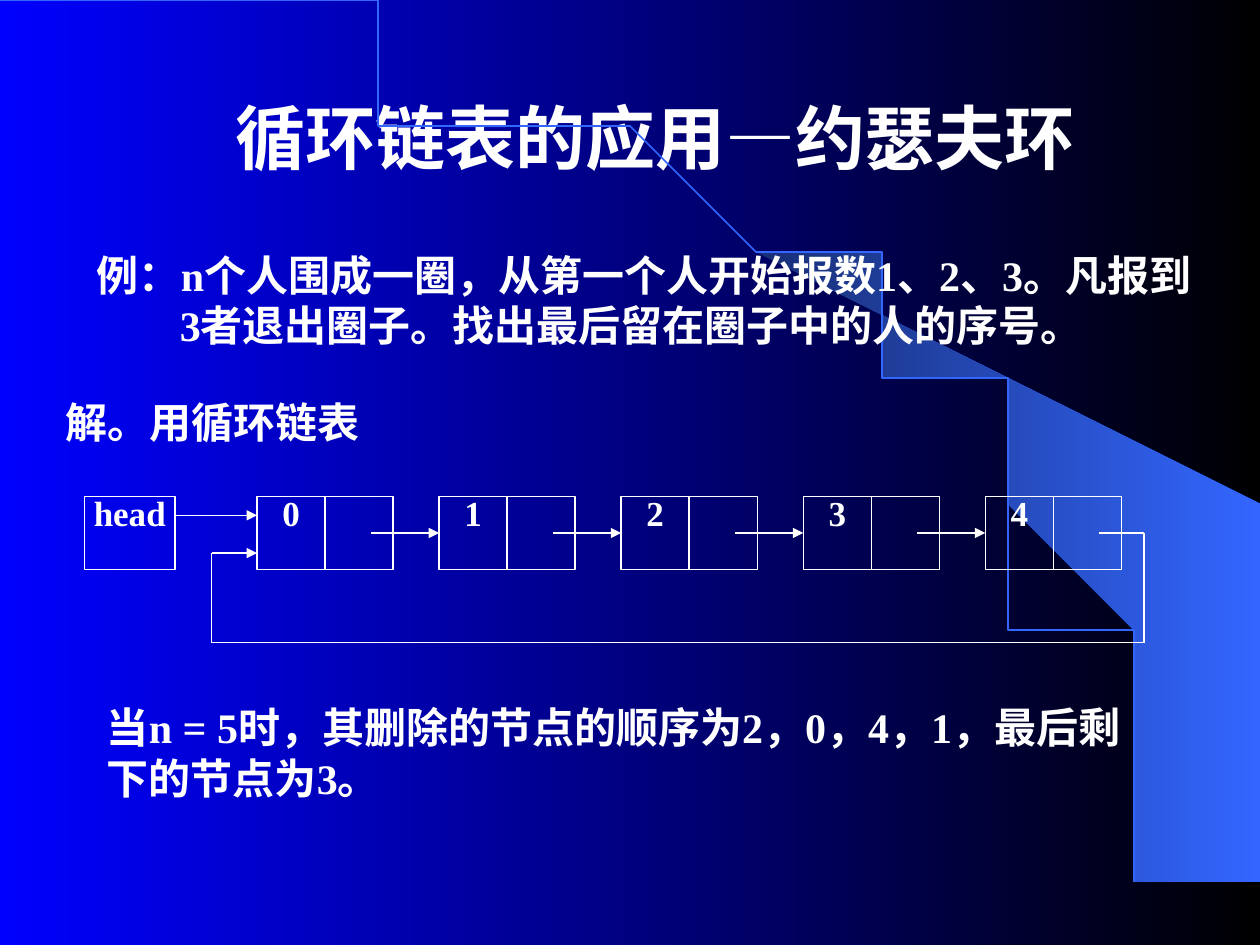
from lxml.etree import SubElement
from pptx import Presentation
from pptx.dml.color import RGBColor
from pptx.enum.shapes import MSO_CONNECTOR, MSO_SHAPE
from pptx.enum.text import MSO_ANCHOR, MSO_AUTO_SIZE, PP_ALIGN
from pptx.oxml.ns import qn
from pptx.util import Inches, Pt

COLORS = {name: RGBColor.from_string(value) for name, value in {
    "white": "FFFFFF", "blue": "0000FF", "black": "000000",
    "arc": "3366FF", "navy": "182F76"}.items()}


def add_line(start, end, arrow=False):
    line = slide.shapes.add_connector(
        MSO_CONNECTOR.STRAIGHT, *(Inches(value) for value in (*start, *end)))
    line.line.color.rgb = COLORS["white"]
    line.line.width = Pt(0.75)
    if arrow:
        SubElement(line.line._get_or_add_ln(), qn("a:tailEnd"), type="triangle")
    SubElement(line._element.spPr, qn("a:effectLst"))
    return line


def add_cell(left, width, text=""):
    """Draw one outlined field of a list node."""
    cell = slide.shapes.add_shape(
        MSO_SHAPE.RECTANGLE, Inches(left), Inches(node_top), Inches(width), Inches(node_height))
    cell.shadow.inherit = False
    cell.fill.background()
    cell.line.color.rgb = COLORS["white"]
    cell.line.width = Pt(0.75)
    if text:
        frame = cell.text_frame
        frame.margin_left = frame.margin_right = Inches(0.06)
        frame.vertical_anchor = MSO_ANCHOR.TOP
        para = frame.paragraphs[0]
        para.text = text
        para.alignment = PP_ALIGN.CENTER
        para.line_spacing = 0.72
        para.font.name, para.font.size, para.font.bold = "Times New Roman", Pt(20), True
        para.font.color.rgb = COLORS["white"]
    return cell


deck = Presentation()
deck.slide_width, deck.slide_height = Inches(10), Inches(7.5)
slide = deck.slides.add_slide(deck.slide_layouts[5])

# Backdrop: gradient, crescent and arc
crescent_points = [
    (9.2, 7.48), (9.99, 7.49), (9.99, 4.23), (5.89, 1.73), (6.24, 1.99), (6.53, 2.22),
    (6.85, 2.5), (7.16, 2.8), (7.62, 3.3), (8.03, 3.84), (8.32, 4.31), (8.58, 4.79),
    (8.78, 5.28), (8.93, 5.72), (9.03, 6.09), (9.13, 6.56), (9.17, 6.96)]
builder = slide.shapes.build_freeform(*crescent_points[0], scale=Inches(1))
builder.add_line_segments(crescent_points[1:], close=True)
crescent = builder.convert_to_shape()
crescent.shadow.inherit = False
crescent.line.fill.background()

for fill, first, last in ((slide.background.fill, "blue", "black"),
                          (crescent.fill, "navy", "arc")):
    fill.gradient()
    fill.gradient_angle = 0
    for stop, name in zip(fill.gradient_stops, (first, last)):
        stop.color.rgb = COLORS[name]

arc_points = []
steps = 60
for step in range(1, steps + 1):
    t = step / steps
    u = 1 - t
    arc_points.append((3 * u * u * t * 5.08 + 3 * u * t * t * 9.2 + t ** 3 * 9.2,
                       3 * u * t * t * 3.35 + t ** 3 * 7.49))
builder = slide.shapes.build_freeform(0, 0, scale=Inches(1))
builder.add_line_segments(arc_points, close=False)
arc = builder.convert_to_shape()
arc.shadow.inherit = False
arc.fill.background()
arc.line.color.rgb = COLORS["arc"]
arc.line.width = Pt(1)

# Title
title = slide.shapes.title
title.left, title.top, title.width, title.height = (
    Inches(value) for value in (1.68, 0.7, 7.04, 0.77))
title.text_frame.auto_size = MSO_AUTO_SIZE.NONE
title.text_frame.vertical_anchor = MSO_ANCHOR.MIDDLE
para = title.text_frame.paragraphs[0]
para.text = "循环链表的应用—约瑟夫环"
para.alignment = PP_ALIGN.CENTER
para.font.name, para.font.size, para.font.bold = "Arial", Pt(40), True
para.font.color.rgb = COLORS["white"]

# Problem, method and answer
texts = [
    ((0.67, 1.93, 9, 1.3), ["例：n个人围成一圈，从第一个人开始报数1、2、3。凡报到",
                            "3者退出圈子。找出最后留在圈子中的人的序号。"]),
    ((0.42, 3.1, 2.92, 0.5), ["解。用循环链表"]),
    ((0.75, 5.52, 8.33, 0.9), ["当n = 5时，其删除的节点的顺序为2，0，4，1，最后剩下的节点为3。"]),
]
for place, lines in texts:
    box = slide.shapes.add_textbox(*(Inches(value) for value in place))
    frame = box.text_frame
    frame.word_wrap = True
    for index, text in enumerate(lines):
        para = frame.add_paragraph() if index else frame.paragraphs[0]
        para.text = text
        para.font.name, para.font.size, para.font.bold = "Times New Roman", Pt(24), True
        para.font.color.rgb = COLORS["white"]
        if index:
            para._p.get_or_add_pPr().set("marL", str(Inches(0.66)))

# Circular linked list
node_top, node_height = 3.94, 0.58
node_middle = node_top + node_height / 2
first_left, cell_width = 2.04, 0.54
pitch = 5.78 / 4
head_left, head_width = 0.67, 0.72
head_level, return_level, loop_bottom = 4.09, 4.39, 5.1
loop_left, loop_right = 1.68, 9.08

add_cell(head_left, head_width, "head")
add_line((head_left + head_width, head_level), (first_left, head_level), arrow=True)

for index in range(5):
    left = first_left + index * pitch
    data_cell = add_cell(left, cell_width, str(index))
    add_cell(left + cell_width, cell_width)
    if index:
        link = add_line((left - cell_width, node_middle), (left, node_middle), arrow=True)
        link.end_connect(data_cell, 1)

loop = [(8.72, node_middle), (loop_right, node_middle), (loop_right, loop_bottom),
        (loop_left, loop_bottom), (loop_left, return_level), (first_left, return_level)]
for start, end in zip(loop, loop[1:]):
    add_line(start, end, arrow=end == loop[-1])

deck.save("out.pptx")
